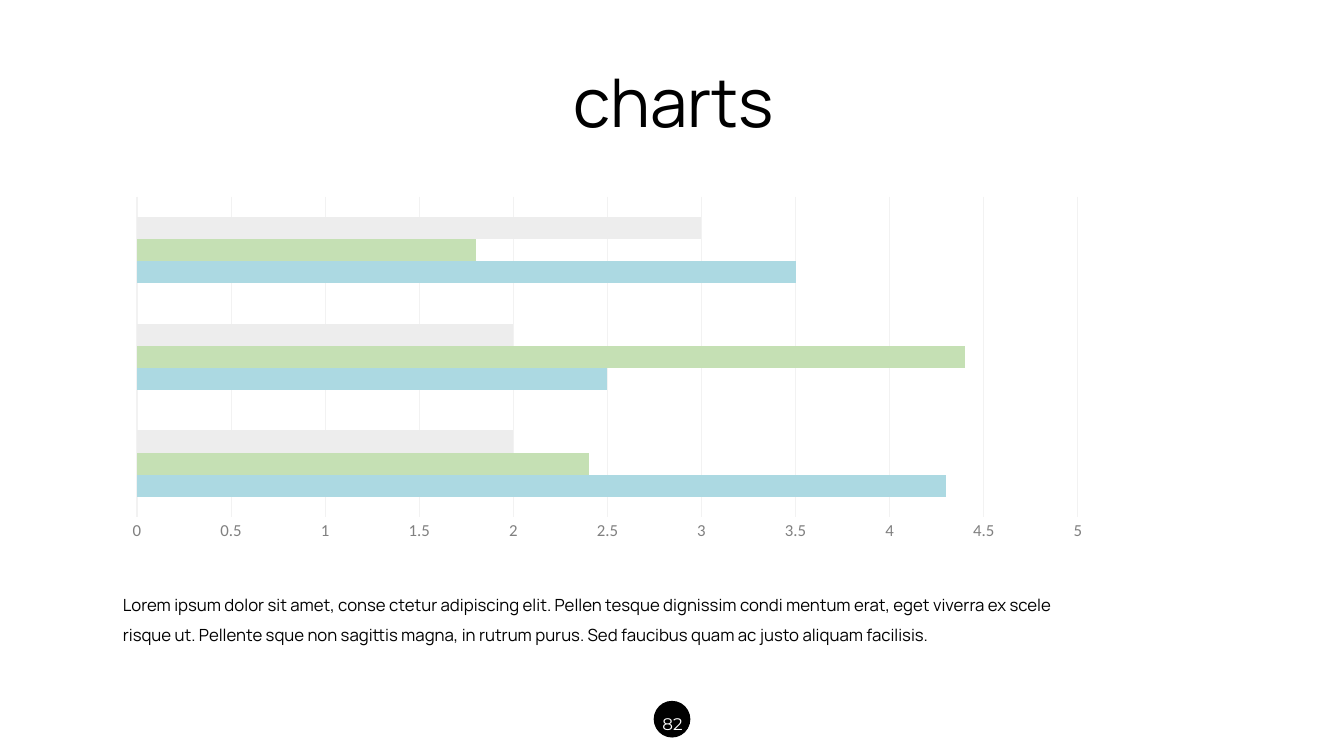
"""Build a slide with a clustered bar chart, a caption and a page badge."""
from dataclasses import dataclass
from typing import Optional

from pptx import Presentation
from pptx.chart.data import CategoryChartData
from pptx.dml.color import RGBColor
from pptx.enum import chart as chart_enum, shapes, text
from pptx.slide import Slide
from pptx.util import Inches, Pt


@dataclass(frozen=True)
class Theme:
    """Colours, fonts and type sizes of the slide."""
    black: str = "000000"
    white: str = "FFFFFF"
    axis_text: str = "808080"
    gridline: str = "F2F2F2"
    heading_font: str = "Manrope"
    number_font: str = "Montserrat"
    chart_font: str = "Calibri"
    title_size: int = 48
    body_size: int = 12
    chart_size: int = 10


THEME = Theme()


@dataclass(frozen=True)
class Box:
    """A rectangle on the slide, in inches."""
    left: float
    top: float
    width: float
    height: float

    def lengths(self) -> tuple:
        """Return the four sides as lengths."""
        return tuple(Inches(side) for side in (self.left, self.top, self.width, self.height))


@dataclass(frozen=True)
class Label:
    """A text box with one paragraph."""
    box: Box
    wording: str
    font: str
    size: int
    color: str
    alignment: text.PP_ALIGN
    line_spacing: Optional[float] = None


@dataclass(frozen=True)
class BarSeries:
    """One coloured series of bars."""
    name: str
    values: tuple
    color: str


BADGE = Box(6.49, 6.96, 0.35, 0.35)
CHART_BOX = Box(1.12, 1.88, 9.81, 3.56)
CATEGORIES = ("1", "2", "3")
SERIES = (
    BarSeries("Series 1", (4.3, 2.5, 3.5), "ACD9E2"),
    BarSeries("Series 2", (2.4, 4.4, 1.8), "C5E0B4"),
    BarSeries("Series 3", (2, 2, 3), "EDEDED"),
)
LABELS = (
    Label(Box(6.42, 6.93, 0.5, 0.37), "82", THEME.number_font, THEME.body_size,
          THEME.white, text.PP_ALIGN.CENTER, 1.5),
    Label(Box(5.05, 0.55, 3.26, 0.91), "charts", THEME.heading_font, THEME.title_size,
          THEME.black, text.PP_ALIGN.CENTER),
    Label(Box(1.12, 5.75, 9.44, 0.67),
          "Lorem ipsum dolor sit amet, conse ctetur adipiscing elit. Pellen tesque dignissim "
          "condi mentum erat, eget viverra ex scele risque ut. Pellente sque non sagittis magna, "
          "in rutrum purus. Sed faucibus quam ac justo aliquam facilisis.",
          THEME.heading_font, THEME.body_size, THEME.black, text.PP_ALIGN.LEFT, 1.5),
)


def style_font(font, name: str, size: int, color: str) -> None:
    """Set the typeface, size and colour of a font."""
    font.name = name
    font.size = Pt(size)
    font.color.rgb = RGBColor.from_string(color)


def draw_badge(slide: Slide, box: Box) -> None:
    """Draw the round page badge."""
    shape = slide.shapes.add_shape(shapes.MSO_SHAPE.OVAL, *box.lengths())
    shape.shadow.inherit = False
    shape.fill.solid()
    shape.fill.fore_color.rgb = RGBColor.from_string(THEME.black)
    shape.line.color.rgb = RGBColor.from_string(THEME.black)
    shape.line.width = Pt(1)


def draw_label(slide: Slide, label: Label) -> None:
    """Draw one text box."""
    text_frame = slide.shapes.add_textbox(*label.box.lengths()).text_frame
    text_frame.word_wrap = True
    text_frame.auto_size = text.MSO_AUTO_SIZE.SHAPE_TO_FIT_TEXT
    text_frame.text = label.wording
    paragraph = text_frame.paragraphs[0]
    paragraph.alignment = label.alignment
    paragraph.line_spacing = label.line_spacing
    style_font(paragraph.runs[0].font, label.font, label.size, label.color)


def draw_chart(slide: Slide, box: Box) -> None:
    """Draw the clustered bar chart."""
    data = CategoryChartData()
    data.categories = CATEGORIES
    for bars in SERIES:
        data.add_series(bars.name, bars.values)
    chart = slide.shapes.add_chart(
        chart_enum.XL_CHART_TYPE.BAR_CLUSTERED, *box.lengths(), data).chart
    chart.has_legend = False
    chart.has_title = False
    style_font(chart.font, THEME.chart_font, THEME.chart_size, THEME.black)

    plot = chart.plots[0]
    plot.gap_width = 182
    plot.overlap = 0
    plot.vary_by_categories = False
    for series, bars in zip(plot.series, SERIES):
        series.format.fill.solid()
        series.format.fill.fore_color.rgb = RGBColor.from_string(bars.color)

    chart.category_axis.visible = False
    axis = chart.value_axis
    axis.minimum_scale, axis.maximum_scale, axis.major_unit = 0, 5, 0.5
    axis.major_tick_mark = chart_enum.XL_TICK_MARK.NONE
    axis.minor_tick_mark = chart_enum.XL_TICK_MARK.NONE
    axis.format.line.fill.background()
    style_font(axis.tick_labels.font, THEME.chart_font, THEME.body_size, THEME.axis_text)
    axis.has_major_gridlines = True
    gridline = axis.major_gridlines.format.line
    gridline.color.rgb = RGBColor.from_string(THEME.gridline)
    gridline.width = Pt(0.75)


def main() -> None:
    """Build and save the presentation."""
    presentation = Presentation()
    presentation.slide_width = Inches(13.33)
    presentation.slide_height = Inches(7.5)
    slide = presentation.slides.add_slide(presentation.slide_layouts[6])
    draw_badge(slide, BADGE)
    for label in LABELS:
        draw_label(slide, label)
    draw_chart(slide, CHART_BOX)
    presentation.save("out.pptx")


if __name__ == "__main__":
    main()
